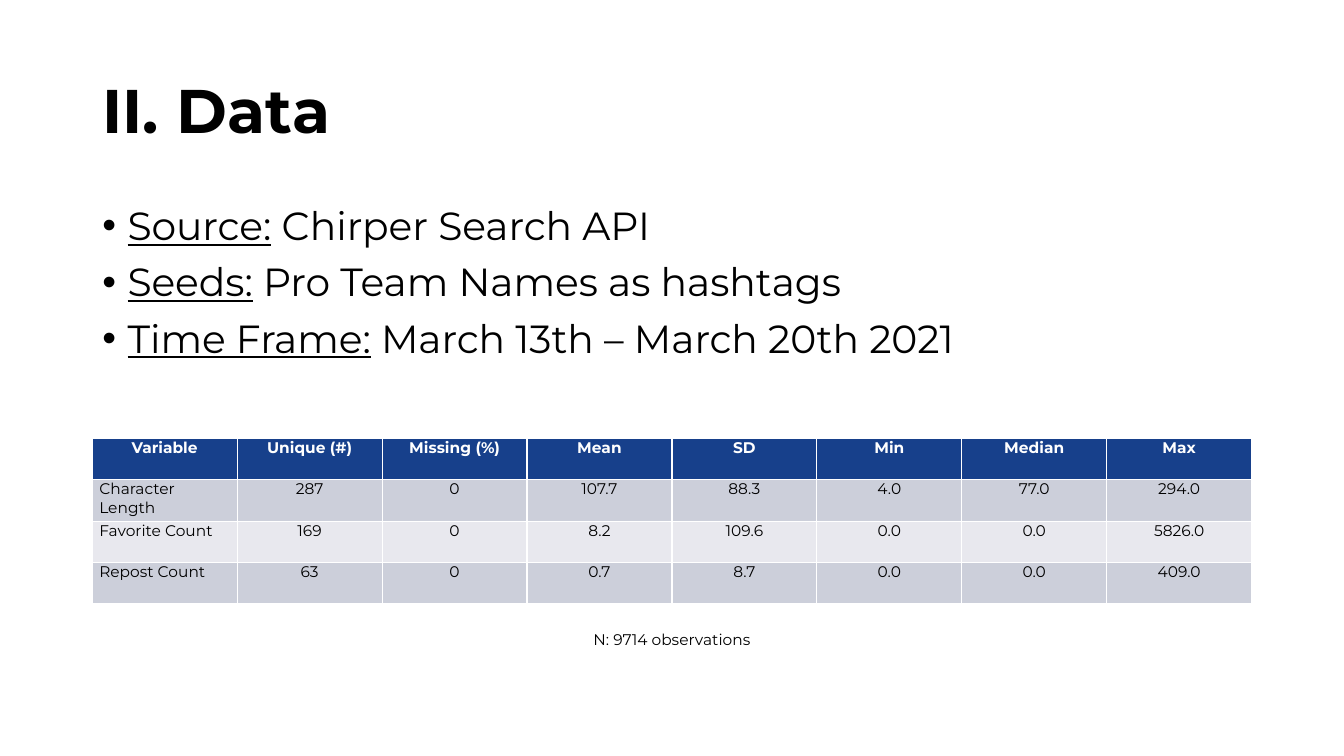
from pptx import Presentation
from pptx.dml.color import RGBColor
from pptx.enum.text import MSO_ANCHOR, MSO_AUTO_SIZE, PP_ALIGN
from pptx.util import Inches, Pt

FONT = "Montserrat"
BLACK, WHITE, NAVY = "000000", "FFFFFF", "17408B"
BANDS = ["CCCFDA", "E8E8EE"]

HEADING = "II. Data"
FACTS = [
    ("Source:", " Chirper Search API"),
    ("Seeds:", " Pro Team Names as hashtags"),
    ("Time Frame:", " March 13th – March 20th 2021"),
]
STATISTICS = [
    ("Variable", "Unique (#)", "Missing (%)", "Mean", "SD", "Min", "Median", "Max"),
    ("Character Length", "287", "0", "107.7", "88.3", "4.0", "77.0", "294.0"),
    ("Favorite Count", "169", "0", "8.2", "109.6", "0.0", "0.0", "5826.0"),
    ("Repost Count", "63", "0", "0.7", "8.7", "0.0", "0.0", "409.0"),
]
SAMPLE_SIZE = "N: 9714 observations"

SLIDE_WIDTH, SLIDE_HEIGHT = 13.33, 7.5
CONTENT_WIDTH, ROW_HEIGHT, NOTE_WIDTH = 11.5, 0.41, 2.89
MARGIN = (SLIDE_WIDTH - CONTENT_WIDTH) / 2


def color(value):
    return RGBColor.from_string(value)


def style(paragraph, size, ink=BLACK, bold=False, align=PP_ALIGN.LEFT):
    paragraph.alignment = align
    font = paragraph.font
    font.name, font.size, font.bold = FONT, Pt(size), bold
    font.color.rgb = color(ink)


def place(shape, left, top, width, height):
    shape.left, shape.top = Inches(left), Inches(top)
    shape.width, shape.height = Inches(width), Inches(height)


def add_heading(slide):
    heading = slide.shapes.title
    place(heading, MARGIN, 0.4, CONTENT_WIDTH, 1.45)
    frame = heading.text_frame
    frame.text = HEADING
    frame.auto_size = MSO_AUTO_SIZE.NONE
    frame.vertical_anchor = MSO_ANCHOR.MIDDLE
    style(frame.paragraphs[0], 44, bold=True)
    frame.paragraphs[0].line_spacing = 0.9


def add_facts(slide):
    facts = slide.placeholders[1]
    place(facts, MARGIN, 2, CONTENT_WIDTH, 4.76)
    frame = facts.text_frame
    frame.auto_size = MSO_AUTO_SIZE.NONE
    for index, (label, detail) in enumerate(FACTS):
        fact = frame.add_paragraph() if index else frame.paragraphs[0]
        style(fact, 28)
        fact.line_spacing, fact.space_before = 0.9, Pt(10)
        indents = fact._p.get_or_add_pPr()
        indents.set("marL", str(Inches(0.25)))
        indents.set("indent", str(-Inches(0.25)))
        term = fact.add_run()
        term.text = label
        term.font.underline = True
        fact.add_run().text = detail


def add_statistics(slide):
    rows, columns = len(STATISTICS), len(STATISTICS[0])
    table = slide.shapes.add_table(
        rows, columns, Inches(MARGIN), Inches(4.35),
        Inches(CONTENT_WIDTH), Inches(ROW_HEIGHT * rows)).table
    for r, values in enumerate(STATISTICS):
        header = r == 0
        for c, value in enumerate(values):
            cell = table.cell(r, c)
            cell.text = value
            cell.margin_left = cell.margin_right = Inches(0.07)
            cell.margin_top = cell.margin_bottom = 0
            cell.fill.solid()
            cell.fill.fore_color.rgb = color(NAVY if header else BANDS[(r - 1) % 2])
            align = PP_ALIGN.CENTER if header or c else PP_ALIGN.LEFT
            style(cell.text_frame.paragraphs[0], 11, WHITE if header else BLACK, header, align)


def add_sample_size(slide):
    left = (SLIDE_WIDTH - NOTE_WIDTH) / 2
    note = slide.shapes.add_textbox(Inches(left), Inches(6.2), Inches(NOTE_WIDTH), Inches(0.29))
    frame = note.text_frame
    frame.word_wrap = True
    frame.auto_size = MSO_AUTO_SIZE.SHAPE_TO_FIT_TEXT
    frame.text = SAMPLE_SIZE
    style(frame.paragraphs[0], 11, align=PP_ALIGN.CENTER)


def main():
    deck = Presentation()
    deck.slide_width, deck.slide_height = Inches(SLIDE_WIDTH), Inches(SLIDE_HEIGHT)
    slide = deck.slides.add_slide(deck.slide_layouts[1])
    add_heading(slide)
    add_facts(slide)
    add_statistics(slide)
    add_sample_size(slide)
    deck.save("out.pptx")


if __name__ == "__main__":
    main()
